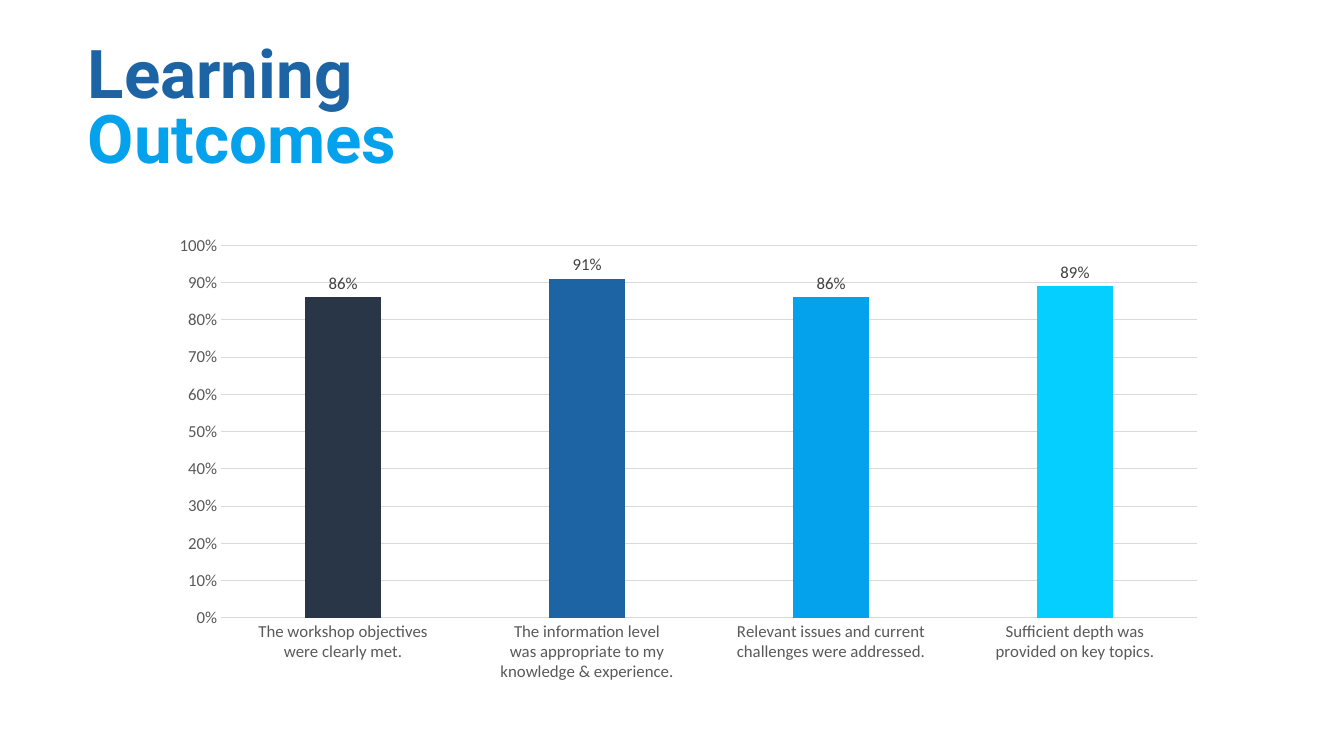
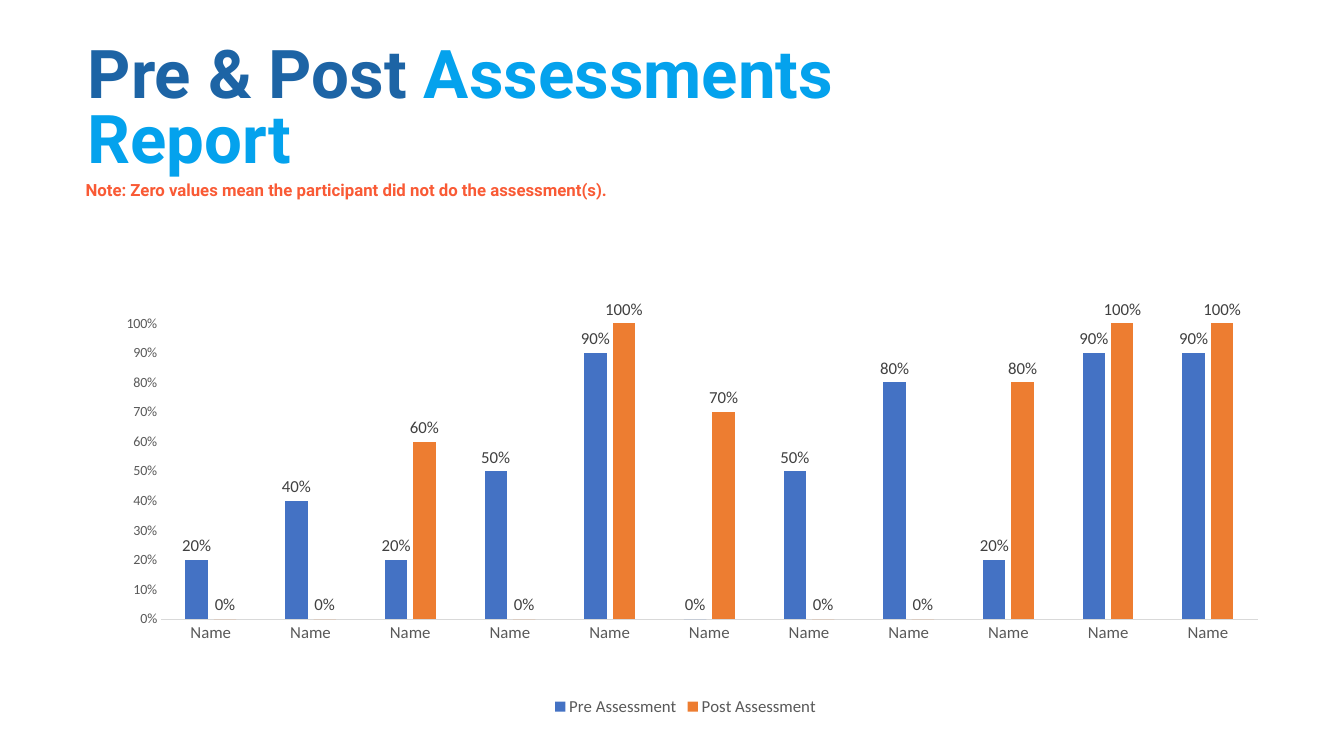
import pptx
import pptx.chart.data
import pptx.dml.color
import pptx.enum.chart
import pptx.enum.text
import pptx.oxml
import pptx.util

Inches = pptx.util.Inches
Pt = pptx.util.Pt
RGBColor = pptx.dml.color.RGBColor

NAVY = RGBColor(0x29, 0x36, 0x47)
DEEP_BLUE = RGBColor(0x1D, 0x64, 0xA5)
SKY_BLUE = RGBColor(0x04, 0xA2, 0xED)
CYAN = RGBColor(0x04, 0xCF, 0xFF)
SERIES_BLUE = RGBColor(0x44, 0x72, 0xC4)
SERIES_ORANGE = RGBColor(0xED, 0x7D, 0x31)
NOTE_RED = RGBColor(0xF9, 0x5A, 0x35)
AXIS_GREY = RGBColor(0x59, 0x59, 0x59)
LABEL_GREY = RGBColor(0x40, 0x40, 0x40)
RULE_GREY = RGBColor(0xD9, 0xD9, 0xD9)


class Report:
    heading_font = "Roboto"
    chart_font = "Calibri"
    percent = "0%"

    def __init__(self):
        self.deck = pptx.Presentation()
        self.deck.slide_width = Inches(13.33)
        self.deck.slide_height = Inches(7.5)
        self.slide = None

    def add_slide(self):
        self.slide = self.deck.slides.add_slide(self.deck.slide_layouts[5])

    def place(self, shape, left, top, width, height):
        shape.left, shape.top = Inches(left), Inches(top)
        shape.width, shape.height = Inches(width), Inches(height)

    def add_run(self, paragraph, text, size, color):
        run = paragraph.add_run()
        run.text = text
        run.font.name = self.heading_font
        run.font.size = Pt(size)
        run.font.bold = True
        run.font.color.rgb = color

    def title(self, lead, rest, width):
        heading = self.slide.shapes.title
        self.place(heading, 0.87, 0.47, width, 1.25)
        frame = heading.text_frame
        frame.margin_left = frame.margin_right = 0
        frame.margin_top = frame.margin_bottom = 0
        frame.word_wrap = True
        frame.auto_size = pptx.enum.text.MSO_AUTO_SIZE.NONE
        frame.vertical_anchor = pptx.enum.text.MSO_ANCHOR.TOP
        paragraph = frame.paragraphs[0]
        paragraph.alignment = pptx.enum.text.PP_ALIGN.LEFT
        paragraph.line_spacing = 0.8
        self.add_run(paragraph, lead, 48, DEEP_BLUE)
        self.add_run(paragraph, rest, 48, SKY_BLUE)

    def note(self, text):
        box = self.slide.shapes.add_textbox(
            Inches(0.75), Inches(1.73), Inches(6.44), Inches(0.3))
        box.text_frame.word_wrap = True
        self.add_run(box.text_frame.paragraphs[0], text, 12, NOTE_RED)

    def style_font(self, font, size, color):
        font.name = self.chart_font
        font.size = Pt(size)
        font.bold = False
        font.color.rgb = color

    def style_rule(self, line):
        line.color.rgb = RULE_GREY
        line.width = Pt(0.75)

    def style_axes(self, chart, value_size, gridlines):
        for axis, size in ((chart.category_axis, 12), (chart.value_axis, value_size)):
            axis.major_tick_mark = pptx.enum.chart.XL_TICK_MARK.NONE
            axis.minor_tick_mark = pptx.enum.chart.XL_TICK_MARK.NONE
            self.style_font(axis.tick_labels.font, size, AXIS_GREY)
        self.style_rule(chart.category_axis.format.line)
        scale = chart.value_axis
        scale.minimum_scale, scale.maximum_scale = 0, 1
        scale.major_unit = 0.1
        scale.format.line.fill.background()
        scale.tick_labels.number_format = self.percent
        scale.tick_labels.number_format_is_linked = False
        scale.has_major_gridlines = gridlines
        if gridlines:
            self.style_rule(scale.major_gridlines.format.line)

    def style_series(self, series, color):
        series.format.fill.solid()
        series.format.fill.fore_color.rgb = color
        series.invert_if_negative = False
        labels = series.data_labels
        labels.show_value = True
        labels.position = pptx.enum.chart.XL_LABEL_POSITION.OUTSIDE_END
        labels.number_format = self.percent
        labels.number_format_is_linked = False
        self.style_font(labels.font, 12, LABEL_GREY)

    def set_plot_area(self, chart, bounds):
        area = chart._chartSpace.chart.plotArea
        for layout in area.xpath("c:layout"):
            area.remove(layout)
        sizes = "".join(f'<c:{key} val="{value}"/>' for key, value in zip("xywh", bounds))
        area.insert(0, pptx.oxml.parse_xml(
            '<c:layout xmlns:c="http://schemas.openxmlformats.org/drawingml/2006/chart">'
            '<c:manualLayout><c:layoutTarget val="inner"/>'
            '<c:xMode val="edge"/><c:yMode val="edge"/>'
            f"{sizes}</c:manualLayout></c:layout>"))

    def column_chart(self, bounds, plot_area, categories, series, value_size=12,
                     overlap=0, gridlines=False, legend=False):
        data = pptx.chart.data.CategoryChartData(number_format=self.percent)
        data.categories = categories
        for name, values, _ in series:
            data.add_series(name, values)
        chart = self.slide.shapes.add_chart(
            pptx.enum.chart.XL_CHART_TYPE.COLUMN_CLUSTERED,
            *map(Inches, bounds), data).chart
        chart.has_title = False
        chart.font.name = self.chart_font
        chart.font.size = Pt(value_size)
        plot = chart.plots[0]
        plot.vary_by_categories = False
        plot.gap_width = 219
        plot.overlap = overlap
        self.style_axes(chart, value_size, gridlines)
        for drawn, (_, _, color) in zip(plot.series, series):
            self.style_series(drawn, color)
        chart.has_legend = legend
        if legend:
            chart.legend.position = pptx.enum.chart.XL_LEGEND_POSITION.BOTTOM
            chart.legend.include_in_layout = False
            self.style_font(chart.legend.font, 12, AXIS_GREY)
        self.set_plot_area(chart, plot_area)
        return chart

    def color_points(self, chart, colors):
        for index, color in enumerate(colors):
            fill = chart.plots[0].series[0].points[index].format.fill
            fill.solid()
            fill.fore_color.rgb = color


def main():
    report = Report()

    report.add_slide()
    report.title("Learning ", "Outcomes", 4.64)
    outcomes = report.column_chart(
        (1.17, 2.22, 11, 5.1), (0.093, 0.042, 0.88, 0.725),
        ["The workshop objectives\nwere clearly met.",
         "The information level\nwas appropriate to my\nknowledge & experience.",
         "Relevant issues and current\nchallenges were addressed.",
         "Sufficient depth was\nprovided on key topics."],
        [("Series 1", (0.86, 0.91, 0.86, 0.89), SERIES_BLUE)],
        gridlines=True)
    report.color_points(outcomes, (NAVY, DEEP_BLUE, SKY_BLUE, CYAN))

    report.add_slide()
    report.title("Pre & Post ", "Assessments Report", 7.77)
    report.note("Note: Zero values mean the participant did not do the assessment(s).")
    before = (0.2, 0.4, 0.2, 0.5, 0.9, 0, 0.5, 0.8, 0.2, 0.9, 0.9)
    after = (0, 0, 0.6, 0, 1, 0.7, 0, 0, 0.8, 1, 1)
    report.column_chart(
        (0.75, 2.4, 12.1, 4.75), (0.07, 0.17, 0.899, 0.618),
        ["Name"] * len(before),
        [("Pre Assessment", before, SERIES_BLUE),
         ("Post Assessment", after, SERIES_ORANGE)],
        value_size=10, overlap=-27, legend=True)

    report.deck.save("out.pptx")


if __name__ == "__main__":
    main()
